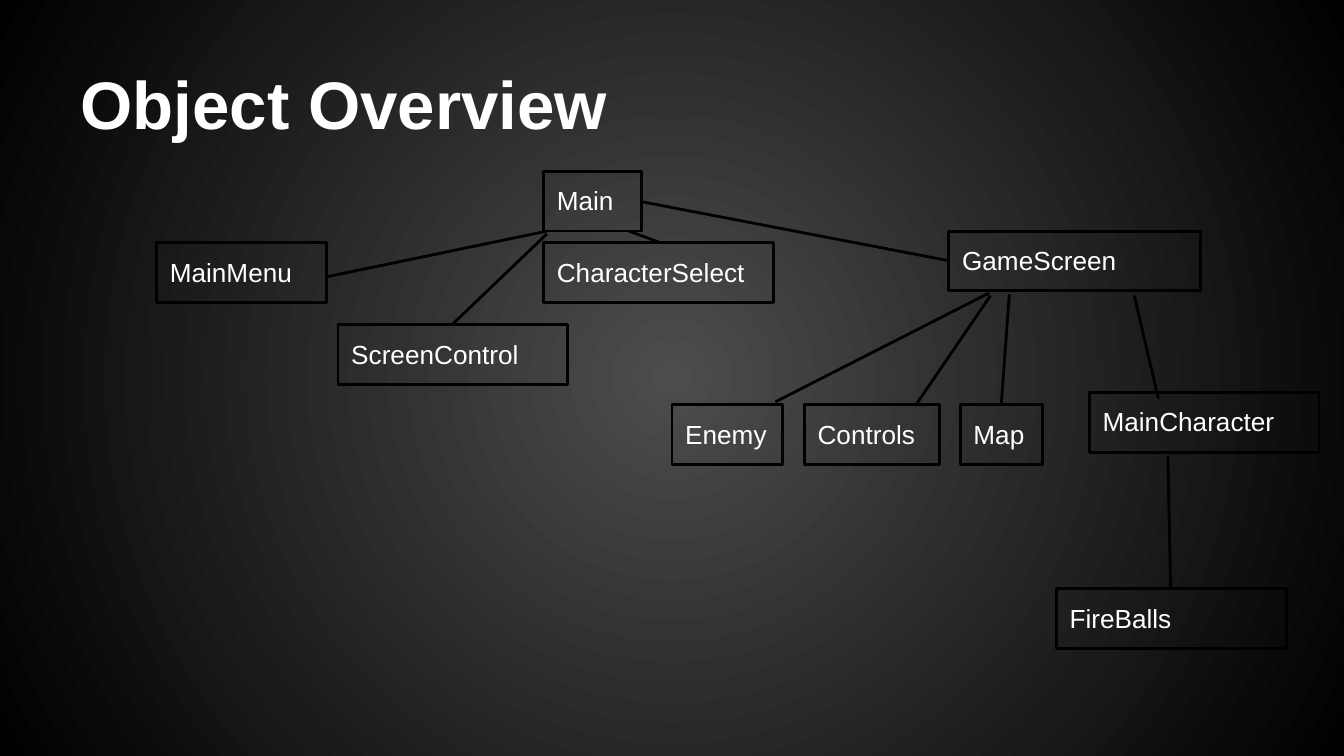
import pptx
import pptx.dml.color
import pptx.enum.shapes
import pptx.enum.text
import pptx.oxml
import pptx.oxml.ns
import pptx.util

PX = 4572  # EMU per px, 200 px to the inch
FONT = "Arial"
COLORS = {"text": "FFFFFF", "line": "000000", "center": "4C4C4C", "edge": "000000"}
NODE_HEIGHT = 89

# name, left, top, width
NODES = [
    ("Main", 577, 1, 146),
    ("MainMenu", 1, 107, 253),
    ("CharacterSelect", 577, 107, 342),
    ("GameScreen", 1180, 90, 375),
    ("ScreenControl", 271, 229, 342),
    ("Enemy", 768, 348, 165),
    ("MainCharacter", 1389, 330, 342),
    ("FireBalls", 1340, 622, 342),
    ("Controls", 965, 348, 201),
    ("Map", 1197, 348, 123),
]

# x and y of the parent end, then of the child end
LINKS = [
    (582, 90, 254, 158),     # Main - MainMenu
    (582, 94, 442, 228),     # Main - ScreenControl
    (722, 46, 1180, 134),    # Main - GameScreen
    (704, 90, 748, 106),     # Main - CharacterSelect
    (1240, 182, 922, 344),   # GameScreen - Enemy
    (1242, 186, 1130, 350),  # GameScreen - Controls
    (1270, 184, 1258, 348),  # GameScreen - Map
    (1456, 186, 1492, 340),  # GameScreen - MainCharacter
    (1506, 424, 1510, 622),  # MainCharacter - FireBalls
]


def emu(*lengths):
    return [pptx.util.Emu(n * PX) for n in lengths]


def rgb(name):
    return pptx.dml.color.RGBColor.from_string(COLORS[name])


def set_text(s, text, size, bold=False, anchor="TOP"):
    tf = s.text_frame
    tf.word_wrap = True
    tf.auto_size = pptx.enum.text.MSO_AUTO_SIZE.NONE
    tf.vertical_anchor = pptx.enum.text.MSO_ANCHOR[anchor]
    tf.margin_left, tf.margin_top, tf.margin_right, tf.margin_bottom = emu(20, 20, 20, 20)
    p = tf.paragraphs[0]
    p.alignment = pptx.enum.text.PP_ALIGN.LEFT
    r = p.add_run()
    r.text = text
    r.font.name = FONT
    r.font.size = pptx.util.Pt(size)
    r.font.bold = bold
    r.font.color.rgb = rgb("text")


def set_line(s):
    s.line.color.rgb = rgb("line")
    s.line.width = pptx.util.Pt(1.5)


def add_background(slide):
    """Fill the slide with a circular gradient around its centre."""
    fill = slide.background.fill
    fill.gradient()
    for stop, name in zip(fill.gradient_stops, ("center", "edge")):
        stop.color.rgb = rgb(name)
    lin = slide.element.find(".//" + pptx.oxml.ns.qn("a:lin"))
    circle = pptx.oxml.parse_xml(
        f'<a:path {pptx.oxml.ns.nsdecls("a")} path="circle">'
        '<a:fillToRect l="50000" t="50000" r="50000" b="50000"/></a:path>')
    lin.getparent().replace(lin, circle)


def add_title(slide, text, box):
    s = slide.shapes.title
    s.left, s.top, s.width, s.height = emu(*box)
    set_text(s, text, size=36, bold=True, anchor="BOTTOM")


def add_node(slide, name, box):
    s = slide.shapes.add_shape(pptx.enum.shapes.MSO_SHAPE.RECTANGLE, *emu(*box))
    s.shadow.inherit = False
    s.fill.background()
    set_line(s)
    set_text(s, name, size=14)


def add_link(slide, ends):
    s = slide.shapes.add_connector(pptx.enum.shapes.MSO_CONNECTOR.STRAIGHT, *emu(*ends))
    set_line(s)
    sp_pr = s.element.spPr
    sp_pr.append(sp_pr.makeelement(pptx.oxml.ns.qn("a:effectLst"), {}))


def add_object_tree(slide, left, top):
    for name, x, y, width in NODES:
        add_node(slide, name, (left + x, top + y, width, NODE_HEIGHT))
    for x1, y1, x2, y2 in LINKS:
        add_link(slide, (left + x1, top + y1, left + x2, top + y2))


def main():
    prs = pptx.Presentation()
    prs.slide_width, prs.slide_height = emu(2000, 1125)
    slide = prs.slides.add_slide(prs.slide_layouts.get_by_name("Title Only"))
    add_background(slide)
    add_title(slide, "Object Overview", (100, 45, 1800, 188))
    add_object_tree(slide, 232, 254)
    prs.save("out.pptx")


if __name__ == "__main__":
    main()
